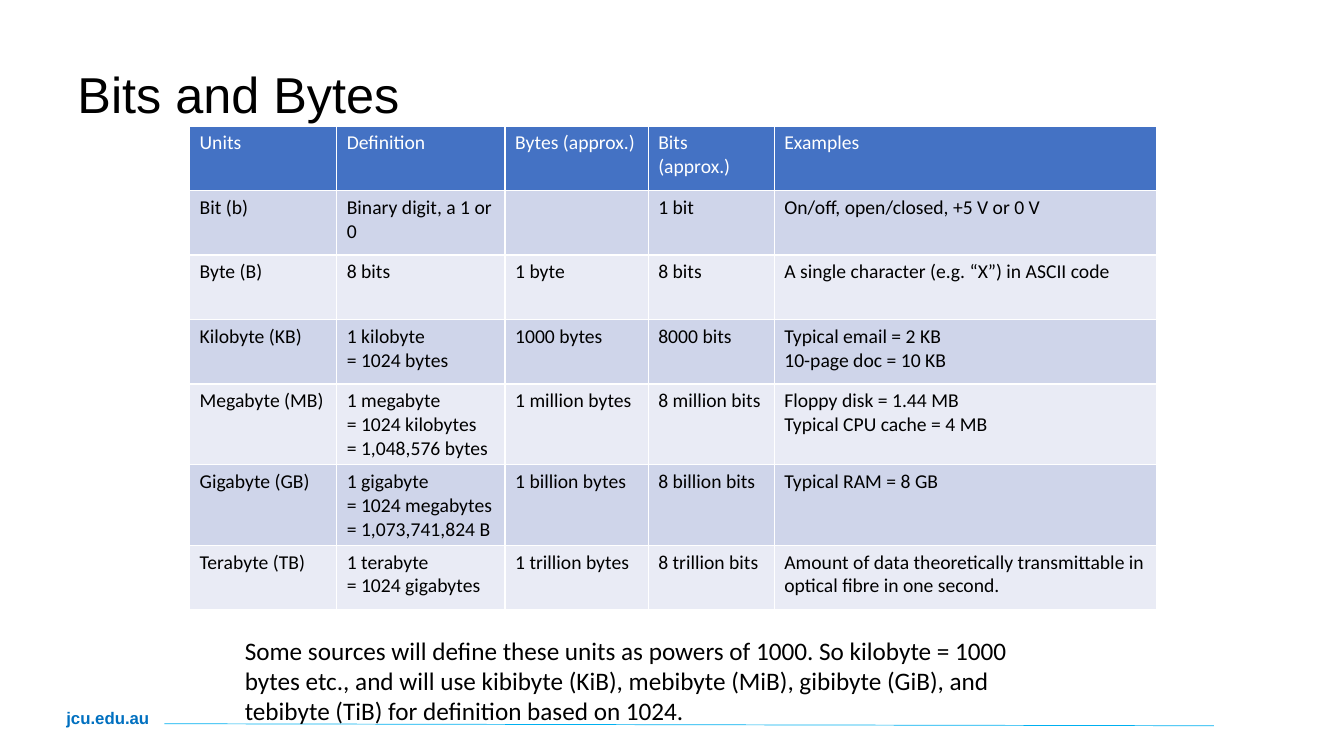
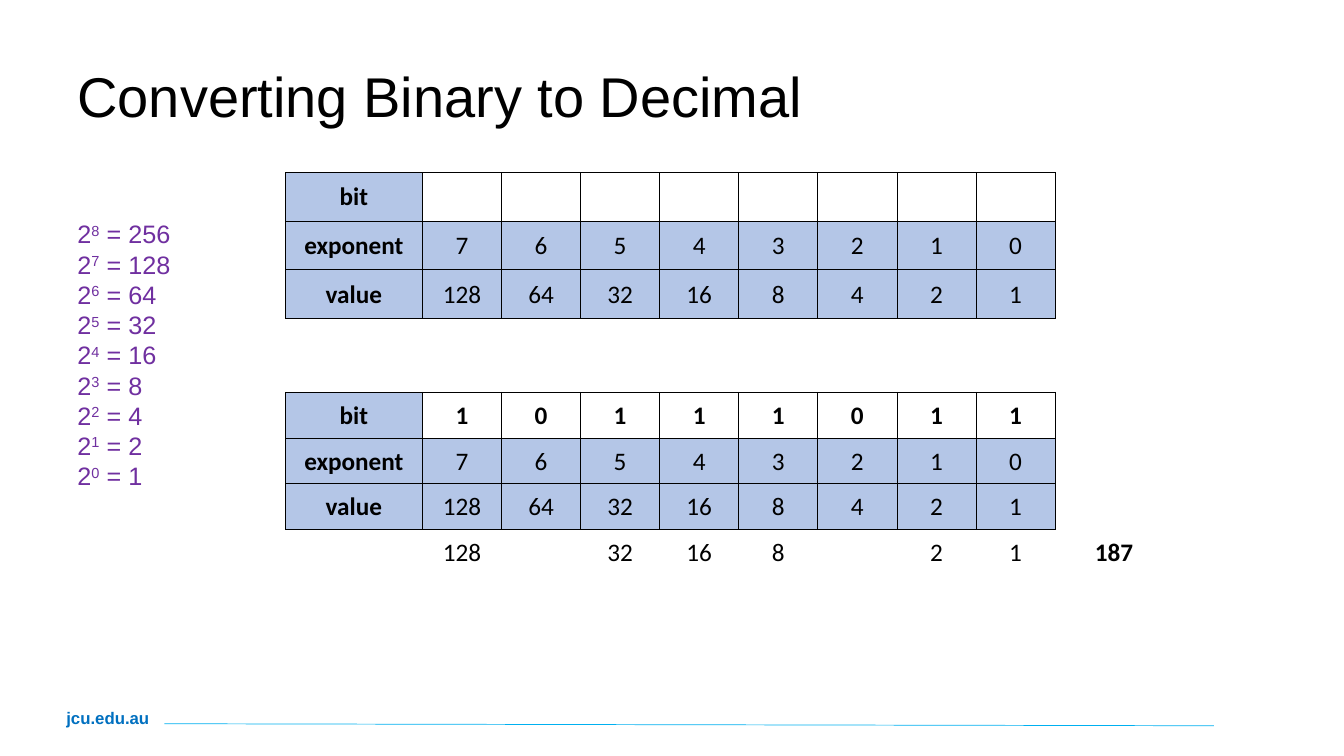
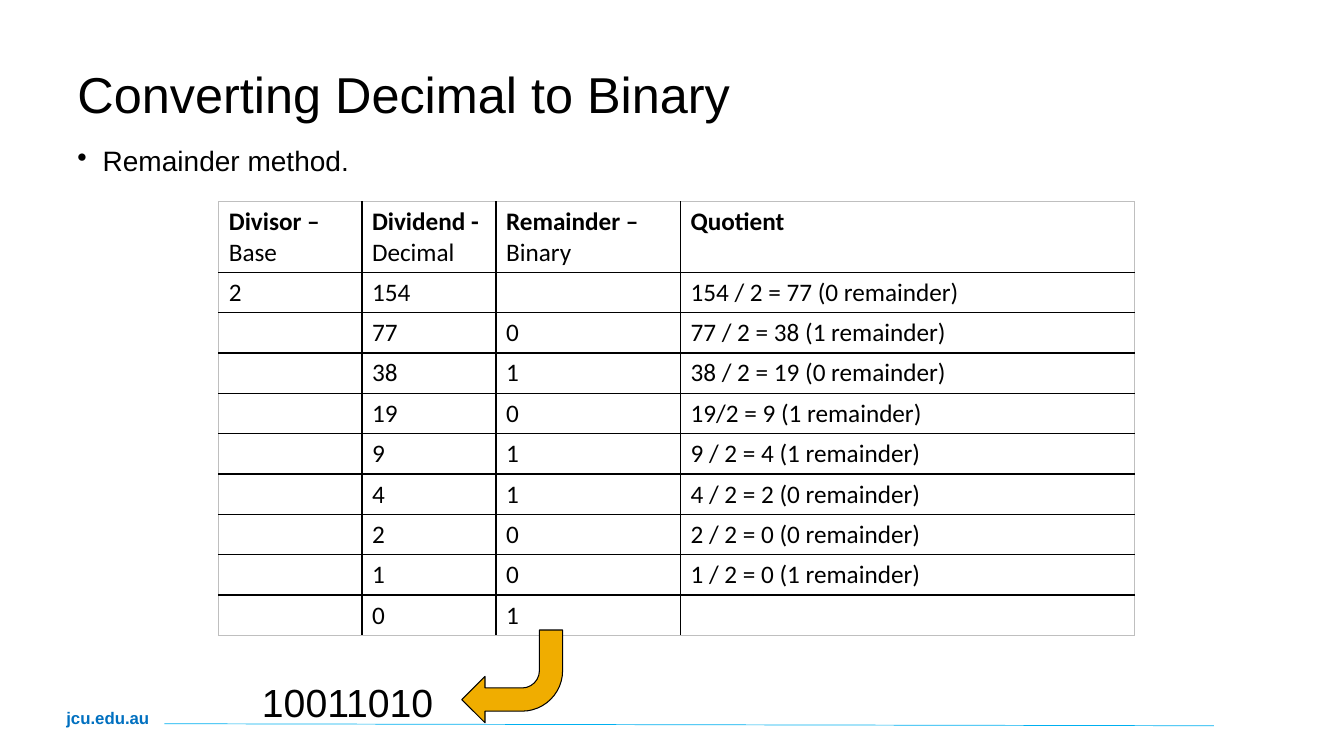
from lxml import etree
from pptx import Presentation
from pptx.dml.color import RGBColor
from pptx.enum import shapes, text
from pptx.oxml import ns
from pptx.util import Inches, Pt

COLOURS = {
    "black": "000000", "white": "FFFFFF", "footer": "0070C0", "rule": "00B0F0",
    "header": "4472C4", "band_dark": "CFD5EA", "band_light": "E9EBF5",
    "bits": "B4C6E7", "powers": "7030A0", "arrow": "F0AD00", "frame": "BFBFBF",
}

UNITS = [
    ["Units", "Definition", "Bytes (approx.)", "Bits (approx.)", "Examples"],
    ["Bit (b)", "Binary digit, a 1 or 0", "", "1 bit",
     "On/off, open/closed, +5 V or 0 V"],
    ["Byte (B)", "8 bits", "1 byte", "8 bits",
     "A single character (e.g. “X”) in ASCII code"],
    ["Kilobyte (KB)", "1 kilobyte\n= 1024 bytes", "1000 bytes", "8000 bits",
     "Typical email = 2 KB\n10-page doc = 10 KB"],
    ["Megabyte (MB)", "1 megabyte\n= 1024 kilobytes\n= 1,048,576 bytes",
     "1 million bytes", "8 million bits",
     "Floppy disk = 1.44 MB\nTypical CPU cache = 4 MB"],
    ["Gigabyte (GB)", "1 gigabyte\n= 1024 megabytes\n= 1,073,741,824 B",
     "1 billion bytes", "8 billion bits", "Typical RAM = 8 GB"],
    ["Terabyte (TB)", "1 terabyte\n= 1024 gigabytes", "1 trillion bytes",
     "8 trillion bits",
     "Amount of data theoretically transmittable in optical fibre in one second."],
]
UNITS_NOTE = (
    "Some sources will define these units as powers of 1000. So kilobyte = 1000 "
    "bytes etc., and will use kibibyte (KiB), mebibyte (MiB), gibibyte (GiB), and "
    "tebibyte (TiB) for definition based on 1024.")

DIVISIONS = [
    ["Divisor –\nBase", "Dividend -\nDecimal", "Remainder –\nBinary", "Quotient"],
    ["2", "154", "", "154 / 2 = 77 (0 remainder)"],
    ["", "77", "0", "77 / 2 = 38 (1 remainder)"],
    ["", "38", "1", "38 / 2 = 19 (0 remainder)"],
    ["", "19", "0", "19/2 = 9 (1 remainder)"],
    ["", "9", "1", "9 / 2 = 4 (1 remainder)"],
    ["", "4", "1", "4 / 2 = 2 (0 remainder)"],
    ["", "2", "0", "2 / 2 = 0 (0 remainder)"],
    ["", "1", "0", "1 / 2 = 0 (1 remainder)"],
    ["", "0", "1", ""],
]


def rgb(name):
    return RGBColor.from_string(COLOURS[name])


# Text
def add_run(paragraph, words, size, face="Arial", colour="black", bold=False):
    run = paragraph.add_run()
    run.text = words
    for attribute, value in {"size": Pt(size), "name": face, "bold": bold}.items():
        setattr(run.font, attribute, value)
    run.font.color.rgb = rgb(colour)
    return run


def add_text(slide, box, words="", size=18, wrap=True, **style):
    frame = slide.shapes.add_textbox(*map(Inches, box)).text_frame
    frame.word_wrap = wrap
    if not wrap:
        frame.auto_size = text.MSO_AUTO_SIZE.SHAPE_TO_FIT_TEXT
    if words:
        add_run(frame.paragraphs[0], words, size, **style)
    return frame


def add_bullet(slide, box, words, size):
    frame = add_text(slide, box)
    item = frame.paragraphs[0]
    properties = item._p.get_or_add_pPr()
    properties.set("marL", str(Inches(0.25)))
    properties.set("indent", str(-Inches(0.25)))
    etree.SubElement(properties, ns.qn("a:buChar"), char="•")
    item.line_spacing = 0.9
    add_run(item, words, size)


def add_powers(slide, box):
    frame = add_text(slide, box)
    for exponent in range(8, -1, -1):
        power = frame.paragraphs[0] if exponent == 8 else frame.add_paragraph()
        for words, raised in (("2", False), (str(exponent), True),
                              (f" = {2 ** exponent}", False)):
            run = add_run(power, words, 18, colour="powers")
            if raised:
                run._r.get_or_add_rPr().set("baseline", "30000")


# Tables
def add_grid(slide, left, top, widths, heights):
    box = (left, top, sum(widths), sum(heights))
    table = slide.shapes.add_table(len(heights), len(widths),
                                   *map(Inches, box)).table
    table.first_row = table.horz_banding = False
    for column, width in zip(table.columns, widths):
        column.width = Inches(width)
    for row, height in zip(table.rows, heights):
        row.height = Inches(height)
    return table


def set_borders(cell, **sides):
    """Each side (L, R, T, B) is a (colour, points) pair, or None for no line."""
    properties = cell._tc.get_or_add_tcPr()
    for side in "LRTB":
        border = sides.get(side)
        line = etree.SubElement(properties, ns.qn(f"a:ln{side}"))
        if border is None:
            etree.SubElement(line, ns.qn("a:noFill"))
            continue
        colour, points = border
        line.set("w", str(Pt(points)))
        fill = etree.SubElement(line, ns.qn("a:solidFill"))
        etree.SubElement(fill, ns.qn("a:srgbClr"), val=COLOURS[colour])


def fill_cell(cell, words, fill=None, size=18, colour="black", bold_lines=0):
    if fill:
        cell.fill.solid()
        cell.fill.fore_color.rgb = rgb(fill)
    else:
        cell.fill.background()
    for number, line in enumerate(words.split("\n") if words else []):
        frame = cell.text_frame
        paragraph = frame.add_paragraph() if number else frame.paragraphs[0]
        add_run(paragraph, line, size, "Calibri", colour, number < bold_lines)


def add_units_table(slide):
    table = add_grid(slide, 1.88, 1.25, [1.46, 1.67, 1.42, 1.25, 3.79],
                     [0.64] * 4 + [0.74] * 2 + [0.64])
    for r, row in enumerate(UNITS):
        fill = "header" if r == 0 else ("band_light", "band_dark")[r % 2]
        for c, words in enumerate(row):
            set_borders(table.cell(r, c), **dict.fromkeys("LRTB", ("white", 1)))
            fill_cell(table.cell(r, c), words, fill, 14,
                      "black" if r else "white")


def add_bit_table(slide, top, row_height, bits=""):
    """Place values of eight bits; with bits given, also their sum below."""
    values = [2 ** exponent for exponent in range(7, -1, -1)]
    used = [value if bit == "1" else 0
            for bit, value in zip(bits.ljust(8), values)]
    rows = [
        ["bit", *bits.ljust(8), ""],
        ["exponent", *range(7, -1, -1), ""],
        ["value", *values, ""],
        ["", *(value or "" for value in used), sum(used) or ""],
    ]
    table = add_grid(slide, 2.83, top, [1.36] + [(8.42 - 1.36) / 9] * 9,
                     [row_height] * 4)
    line = ("black", 0.5)
    for r, row in enumerate(rows):
        for c, words in enumerate(row):
            cell = table.cell(r, c)
            inside = r < 3 and c < 9
            set_borders(cell, L=line if r < 3 else None, T=line if c < 9 else None,
                        R=line if inside else None, B=line if inside else None)
            shaded = inside and (r > 0 or c == 0)
            bold = c in (0, 9) or r == 0
            fill_cell(cell, str(words).strip(), "bits" if shaded else None,
                      bold_lines=int(bold))
            cell.vertical_anchor = text.MSO_ANCHOR.MIDDLE
            for side, inset in {"left": 0.01, "right": 0.01,
                                "top": 0.01, "bottom": 0}.items():
                setattr(cell, f"margin_{side}", Inches(inset))
            cell.text_frame.paragraphs[0].alignment = (
                text.PP_ALIGN.RIGHT if c == 9 else text.PP_ALIGN.CENTER)


def add_division_table(slide):
    table = add_grid(slide, 2.17, 2, [1.42, 1.33, 1.83, 4.5], [0.7] + [0.4] * 9)
    inner, outer = ("black", 1), ("frame", 0.75)
    for r, row in enumerate(DIVISIONS):
        for c, words in enumerate(row):
            set_borders(table.cell(r, c),
                        L=inner if c else outer, R=inner if c < 3 else outer,
                        T=inner if r else outer, B=inner if r < 9 else outer)
            fill_cell(table.cell(r, c), words, bold_lines=int(r == 0))


# Shapes
def add_rule(slide, start, end):
    rule = slide.shapes.add_connector(shapes.MSO_CONNECTOR.STRAIGHT,
                                      *map(Inches, start + end))
    rule.line.color.rgb = rgb("rule")
    rule.line.width = Pt(0.5)
    etree.SubElement(rule._element.spPr, ns.qn("a:effectLst"))


def add_result_arrow(slide, box):
    arrow = slide.shapes.add_shape(shapes.MSO_SHAPE.BENT_ARROW, *map(Inches, box))
    arrow.rotation = 180
    arrow.shadow.inherit = False
    arrow.fill.solid()
    arrow.fill.fore_color.rgb = rgb("arrow")
    arrow.line.color.rgb = rgb("black")
    arrow.line.width = Pt(0.75)


# Shared slide frame: footer and title
def add_slide(deck, title, size=36):
    slide = deck.slides.add_slide(deck.slide_layouts[6])
    add_text(slide, (0.56, 6.97, 1.23, 0.3), "jcu.edu.au", 12,
             colour="footer", bold=True)
    add_rule(slide, (1.63, 7.18), (12.04, 7.2))
    heading = add_text(slide, (0.67, 0.64, 11.74, 1.21), title, size)
    heading.paragraphs[0].line_spacing = 0.9
    return slide


def main():
    deck = Presentation()
    deck.slide_width, deck.slide_height = Inches(13.33), Inches(7.5)

    # Units of storage
    units = add_slide(deck, "Bits and Bytes")
    add_units_table(units)
    add_text(units, (2.33, 6.25, 8.33, 1.01), UNITS_NOTE, face="Calibri")

    # Binary to decimal
    to_decimal = add_slide(deck, "Converting Binary to Decimal", 40)
    add_powers(to_decimal, (0.67, 2.12, 1.58, 2.83))
    add_bit_table(to_decimal, 3.89, 0.455, "10111011")
    add_bit_table(to_decimal, 1.71, 0.483)

    # Decimal to binary
    to_binary = add_slide(deck, "Converting Decimal to Binary")
    add_bullet(to_binary, (0.67, 1.41, 11.74, 4.65), "Remainder method.", 20)
    add_division_table(to_binary)
    add_result_arrow(to_binary, (4.58, 6.25, 1, 0.92))
    add_text(to_binary, (2.5, 6.68, 1.96, 0.57), "10011010", 28, wrap=False)

    deck.save("out.pptx")


if __name__ == "__main__":
    main()
